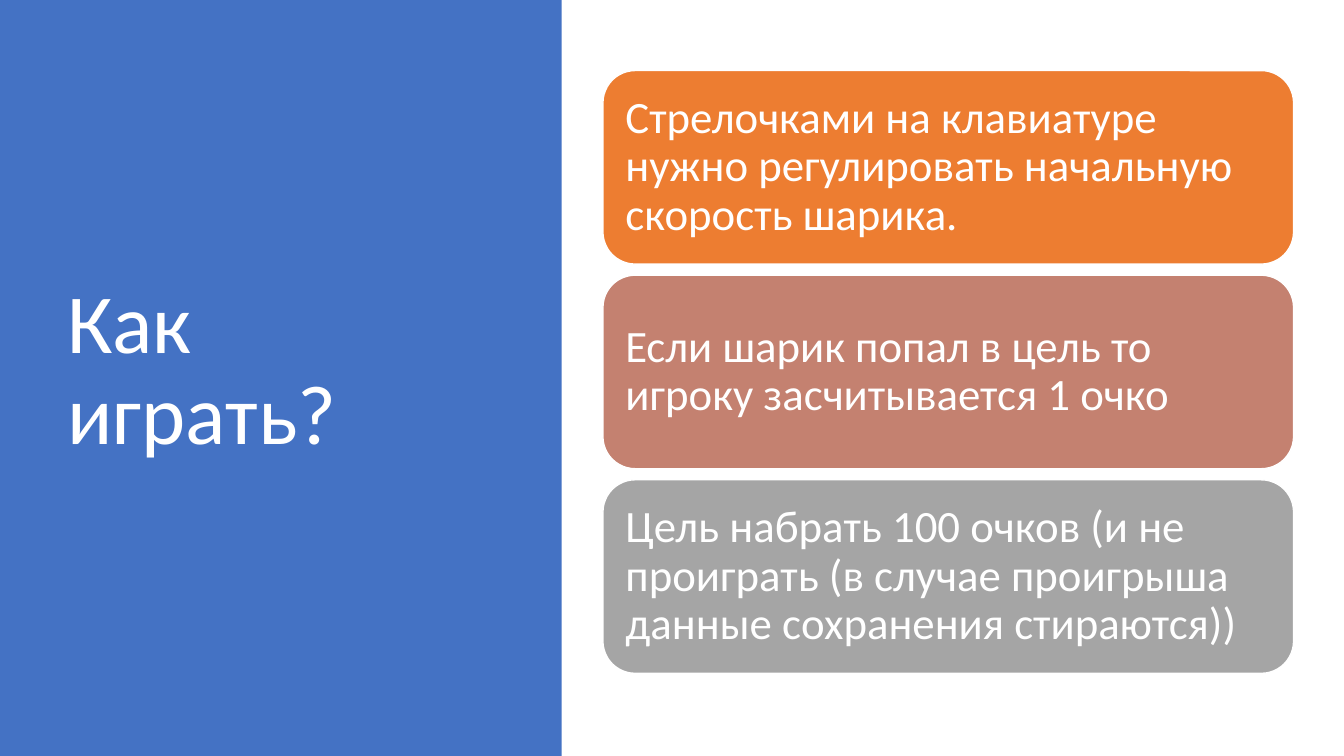
from pptx import Presentation
from pptx.dml.color import RGBColor
from pptx.enum.shapes import MSO_SHAPE
from pptx.enum.text import MSO_ANCHOR, PP_ALIGN
from pptx.util import Inches, Pt

RECT = MSO_SHAPE.RECTANGLE
ROUND = MSO_SHAPE.ROUNDED_RECTANGLE
MIDDLE = MSO_ANCHOR.MIDDLE
LEFT = PP_ALIGN.LEFT

WHITE = "FFFFFF"
BLUE = "4472C4"
RULES = [
    ("Стрелочками на клавиатуре нужно регулировать начальную скорость шарика.", "ED7D31"),
    ("Если шарик попал в цель то игроку засчитывается 1 очко", "C48170"),
    ("Цель набрать 100 очков (и не проиграть (в случае проигрыша данные сохранения стираются))", "A5A5A5"),
]
TOP = 0.7
STEP = 2.03


def color(code):
    return RGBColor.from_string(code)


class Deck:
    font = "Calibri"
    ink = WHITE

    def __init__(self, slide):
        self.slide = slide

    def label(self, shape, text, size, inset_x, inset_y):
        frame = shape.text_frame
        frame.word_wrap = True
        frame.vertical_anchor = MIDDLE
        frame.margin_left = frame.margin_right = Inches(inset_x)
        frame.margin_top = frame.margin_bottom = Inches(inset_y)
        para = frame.paragraphs[0]
        para.text = text
        para.alignment = LEFT
        para.line_spacing = 0.9
        para.font.name = self.font
        para.font.size = Pt(size)
        para.font.color.rgb = color(self.ink)

    def block(self, kind, x, y, w, h, fill):
        shape = self.slide.shapes.add_shape(kind, Inches(x), Inches(y), Inches(w), Inches(h))
        shape.shadow.inherit = False
        shape.fill.solid()
        shape.fill.fore_color.rgb = color(fill)
        shape.line.fill.background()
        return shape

    def title(self, text, x, y, w, h):
        box = self.slide.shapes.add_textbox(Inches(x), Inches(y), Inches(w), Inches(h))
        self.label(box, text, 60, 0.1, 0.05)

    def card(self, text, x, y, w, h, fill):
        shape = self.block(ROUND, x, y, w, h, fill)
        shape.line.color.rgb = color(WHITE)
        shape.line.width = Pt(1)
        self.label(shape, text, 32, 0.13, 0.13)


def main():
    show = Presentation()
    show.slide_width = Inches(13.33)
    show.slide_height = Inches(7.5)
    deck = Deck(show.slides.add_slide(show.slide_layouts[6]))
    deck.block(RECT, 0, 0, 5.57, 7.5, BLUE)
    deck.title("Как играть?", 0.57, 0.68, 4.16, 6.02)
    for row, (text, fill) in enumerate(RULES):
        deck.card(text, 5.98, TOP + row * STEP, 6.85, 1.92, fill)
    show.save("out.pptx")


if __name__ == "__main__":
    main()
